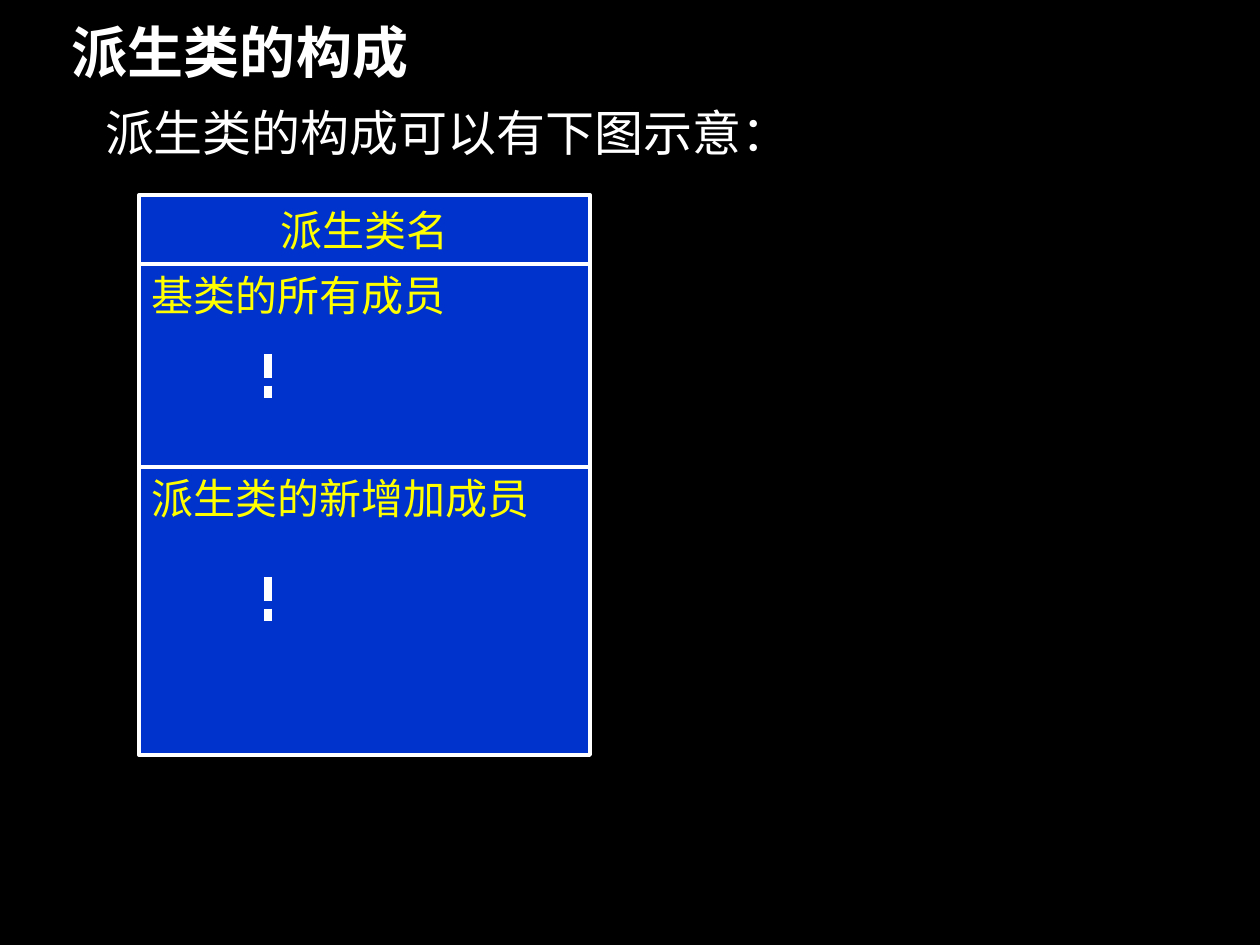
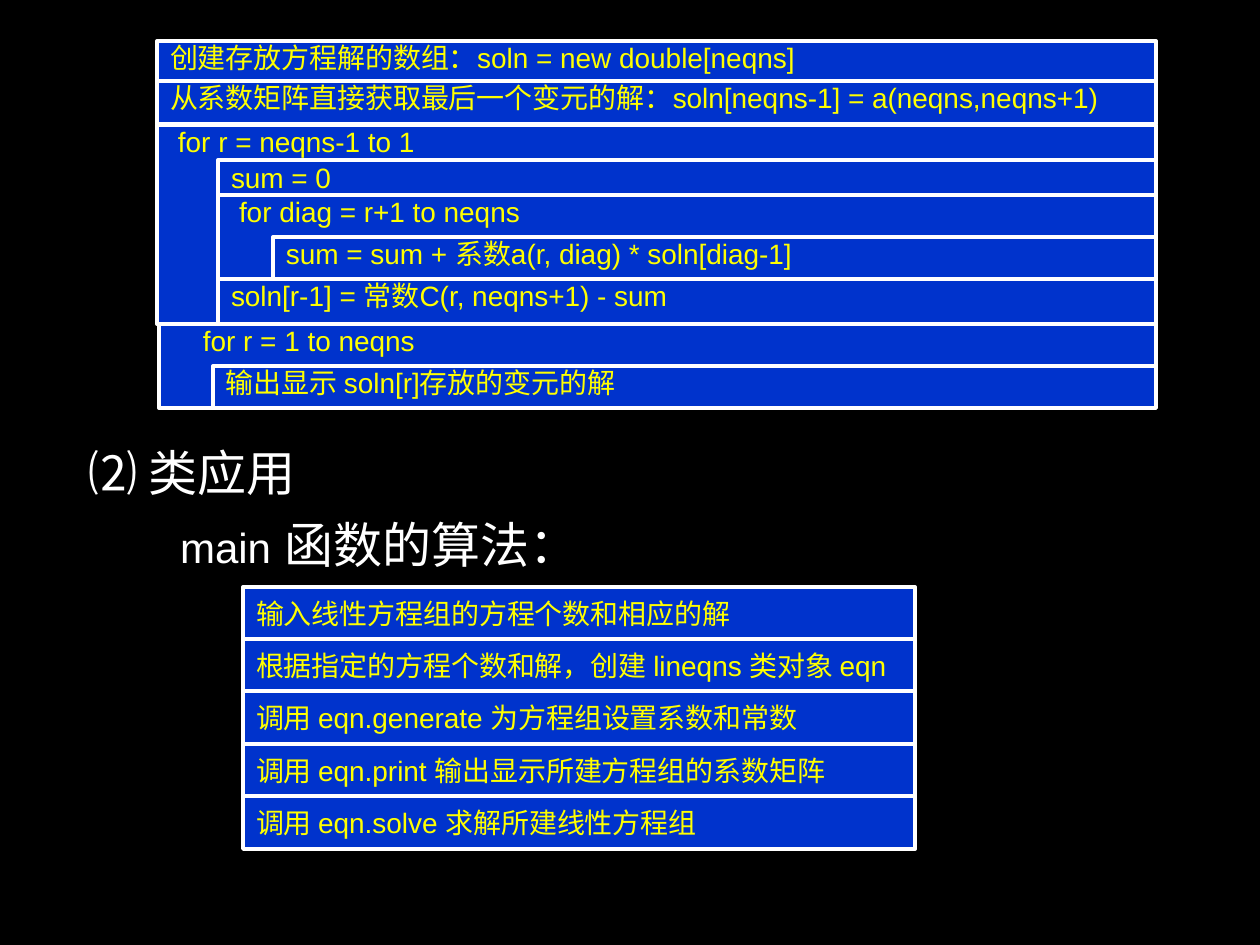
"""Build two slides on derived classes and an equation-solving algorithm."""
from dataclasses import dataclass

from pptx import Presentation
from pptx.dml.color import RGBColor
from pptx.enum.dml import MSO_LINE
from pptx.enum.shapes import MSO_CONNECTOR, MSO_SHAPE
from pptx.enum.text import MSO_ANCHOR, MSO_AUTO_SIZE, PP_ALIGN
from pptx.oxml.ns import qn
from pptx.presentation import Presentation as Deck
from pptx.shapes.placeholder import SlidePlaceholder
from pptx.slide import Slide
from pptx.text.text import TextFrame
from pptx.util import Emu, Pt

RECTANGLE = MSO_SHAPE.RECTANGLE
STRAIGHT = MSO_CONNECTOR.STRAIGHT
DOTTED = MSO_LINE.SQUARE_DOT
TOP, MIDDLE = MSO_ANCHOR.TOP, MSO_ANCHOR.MIDDLE
LEFT, CENTER = PP_ALIGN.LEFT, PP_ALIGN.CENTER
FIXED_SIZE = MSO_AUTO_SIZE.NONE

PX_PER_INCH = 126
INSET_X, INSET_Y = 13, 6


@dataclass(frozen=True)
class Theme:
    """Colours, fonts, type sizes and line widths in points."""
    background: RGBColor = RGBColor(0x00, 0x00, 0x00)
    cell: RGBColor = RGBColor(0x00, 0x33, 0xCC)
    border: RGBColor = RGBColor(0xFF, 0xFF, 0xFF)
    heading: RGBColor = RGBColor(0xFF, 0xFF, 0xFF)
    label: RGBColor = RGBColor(0xFF, 0xFF, 0x00)
    sans: str = "Arial"
    serif: str = "Times New Roman"
    title: int = 32
    body: int = 28
    member: int = 24
    step: int = 16
    border_width: float = 2.25
    dots_width: float = 4.5


THEME = Theme()


@dataclass(frozen=True)
class Cell:
    """A bordered diagram cell, given by its four edges in px."""
    text: str
    left: int
    top: int
    right: int
    bottom: int
    size: int = THEME.step
    font: str = THEME.sans
    align: PP_ALIGN = LEFT
    anchor: MSO_ANCHOR = TOP
    inset_y: int = 0
    indent: int = 0


@dataclass(frozen=True)
class Ellipsis:
    """A vertical dotted line standing for further members."""
    x: int
    top: int
    bottom: int


CLASS_LEFT, CLASS_RIGHT = 139, 590
CLASS_CELLS = (
    Cell("派生类名", CLASS_LEFT, 195, CLASS_RIGHT, 264, THEME.member,
         align=CENTER, anchor=MIDDLE, inset_y=INSET_Y),
    Cell("基类的所有成员", CLASS_LEFT, 264, CLASS_RIGHT, 467, THEME.member, inset_y=INSET_Y),
    Cell("派生类的新增加成员", CLASS_LEFT, 467, CLASS_RIGHT, 755, THEME.member, inset_y=INSET_Y),
)
MEMBER_ELLIPSES = (Ellipsis(268, 354, 398), Ellipsis(268, 577, 621))

SOLVE_LEFT, LOOP_LEFT, SOLVE_RIGHT = 157, 218, 1156
SOLVE_CELLS = (
    Cell("创建存放方程解的数组：soln = new double[neqns]", SOLVE_LEFT, 41, SOLVE_RIGHT, 81),
    Cell("从系数矩阵直接获取最后一个变元的解：soln[neqns-1] = a(neqns,neqns+1)",
         SOLVE_LEFT, 81, SOLVE_RIGHT, 124),
    Cell("for r = 1 to neqns", 159, 324, SOLVE_RIGHT, 408, indent=31),
    Cell("输出显示 soln[r]存放的变元的解", 213, 366, SOLVE_RIGHT, 408),
    Cell("for r = neqns-1 to 1", SOLVE_LEFT, 125, SOLVE_RIGHT, 324, indent=8),
    Cell("sum = 0", LOOP_LEFT, 160, SOLVE_RIGHT, 195, anchor=MIDDLE, inset_y=INSET_Y),
    Cell("for diag = r+1 to neqns", LOOP_LEFT, 195, SOLVE_RIGHT, 279, indent=8),
    Cell("sum = sum + 系数a(r, diag) * soln[diag-1]", 273, 237, SOLVE_RIGHT, 279),
    Cell("soln[r-1] = 常数C(r, neqns+1) - sum", LOOP_LEFT, 279, SOLVE_RIGHT, 324),
)

MAIN_LEFT, MAIN_RIGHT, MAIN_TOP, MAIN_BOTTOM = 243, 915, 587, 849
MAIN_STEPS = (
    ("输入线性方程组的方程个数和相应的解", THEME.serif),
    ("根据指定的方程个数和解，创建 lineqns 类对象 eqn", THEME.sans),
    ("调用 eqn.generate 为方程组设置系数和常数", THEME.sans),
    ("调用 eqn.print 输出显示所建方程组的系数矩阵", THEME.sans),
    ("调用 eqn.solve 求解所建线性方程组", THEME.sans),
)


def px(length: int) -> Emu:
    """Turn px into EMU."""
    return Emu(round(length * 914400 / PX_PER_INCH))


def write(frame: TextFrame, text: str, *, size: int, color: RGBColor,
          font: str = THEME.sans, bold: bool = False, align: PP_ALIGN = LEFT,
          anchor: MSO_ANCHOR = TOP, inset_x: int = 0, inset_y: int = 0,
          indent: int = 0, wrap: bool = True) -> None:
    """Append a formatted run to the first paragraph of a text frame."""
    frame.auto_size = FIXED_SIZE
    frame.word_wrap = wrap
    frame.vertical_anchor = anchor
    frame.margin_left = frame.margin_right = px(inset_x)
    frame.margin_top = frame.margin_bottom = px(inset_y)
    paragraph = frame.paragraphs[0]
    properties = paragraph._p.get_or_add_pPr()
    properties.set("marL", str(px(indent)))
    properties.set("indent", "0")
    if properties.find(qn("a:buNone")) is None:
        properties.append(properties.makeelement(qn("a:buNone"), {}))
    paragraph.alignment = align
    paragraph.space_before = Pt(0)
    run = paragraph.add_run()
    run.text = text
    run.font.name = font
    run.font.size = Pt(size)
    run.font.bold = bold
    run.font.color.rgb = color


def place(placeholder: SlidePlaceholder, left: int, top: int, width: int, height: int) -> TextFrame:
    """Move a placeholder and return its text frame."""
    placeholder.left, placeholder.top = px(left), px(top)
    placeholder.width, placeholder.height = px(width), px(height)
    return placeholder.text_frame


def draw_cell(slide: Slide, cell: Cell) -> None:
    """Draw one bordered cell with its label."""
    box = slide.shapes.add_shape(RECTANGLE, px(cell.left), px(cell.top),
                                 px(cell.right - cell.left), px(cell.bottom - cell.top))
    box.shadow.inherit = False
    box.fill.solid()
    box.fill.fore_color.rgb = THEME.cell
    box.line.color.rgb = THEME.border
    box.line.width = Pt(THEME.border_width)
    write(box.text_frame, cell.text, size=cell.size, color=THEME.label, font=cell.font,
          align=cell.align, anchor=cell.anchor, inset_x=INSET_X, inset_y=cell.inset_y,
          indent=cell.indent, wrap=False)


def draw_ellipsis(slide: Slide, dots: Ellipsis) -> None:
    """Draw a vertical dotted line."""
    stroke = slide.shapes.add_connector(STRAIGHT, px(dots.x), px(dots.top),
                                        px(dots.x), px(dots.bottom))
    stroke.line.color.rgb = THEME.border
    stroke.line.width = Pt(THEME.dots_width)
    stroke.line.dash_style = DOTTED
    properties = stroke._element.spPr
    properties.append(properties.makeelement(qn("a:effectLst"), {}))


def add_content_slide(deck: Deck) -> Slide:
    """Add a slide with a title and a body placeholder."""
    return deck.slides.add_slide(deck.slide_layouts[1])


def build_class_slide(deck: Deck) -> None:
    """Show what a derived class is made of."""
    slide = add_content_slide(deck)
    write(place(slide.shapes.title, 72, 17, 1100, 74), "派生类的构成",
          size=THEME.title, color=THEME.heading, bold=True)
    write(place(slide.placeholders[1], 105, 102, 1070, 66), "派生类的构成可以有下图示意：",
          size=THEME.body, color=THEME.heading)
    for cell in CLASS_CELLS:
        draw_cell(slide, cell)
    for dots in MEMBER_ELLIPSES:
        draw_ellipsis(slide, dots)


def build_algorithm_slide(deck: Deck) -> None:
    """Show the solving algorithm and the steps of main."""
    slide = add_content_slide(deck)
    write(place(slide.shapes.title, 89, 443, 1080, 66), "⑵ 类应用",
          size=THEME.body, color=THEME.heading)
    algorithm = place(slide.placeholders[1], 180, 514, 990, 66)
    write(algorithm, "main", size=THEME.member, color=THEME.heading)
    write(algorithm, " 函数的算法：", size=THEME.body, color=THEME.heading)
    for cell in SOLVE_CELLS:
        draw_cell(slide, cell)
    count = len(MAIN_STEPS)
    edges = [MAIN_TOP + (MAIN_BOTTOM - MAIN_TOP) * i // count for i in range(count + 1)]
    for (text, font), top, bottom in zip(MAIN_STEPS, edges, edges[1:]):
        draw_cell(slide, Cell(text, MAIN_LEFT, top, MAIN_RIGHT, bottom, font=font,
                              anchor=MIDDLE, inset_y=INSET_Y))


def main() -> None:
    """Build and save the deck."""
    deck = Presentation()
    deck.slide_width, deck.slide_height = px(1260), px(945)
    backdrop = deck.slide_master.background.fill
    backdrop.solid()
    backdrop.fore_color.rgb = THEME.background
    build_class_slide(deck)
    build_algorithm_slide(deck)
    deck.save("out.pptx")


if __name__ == "__main__":
    main()
